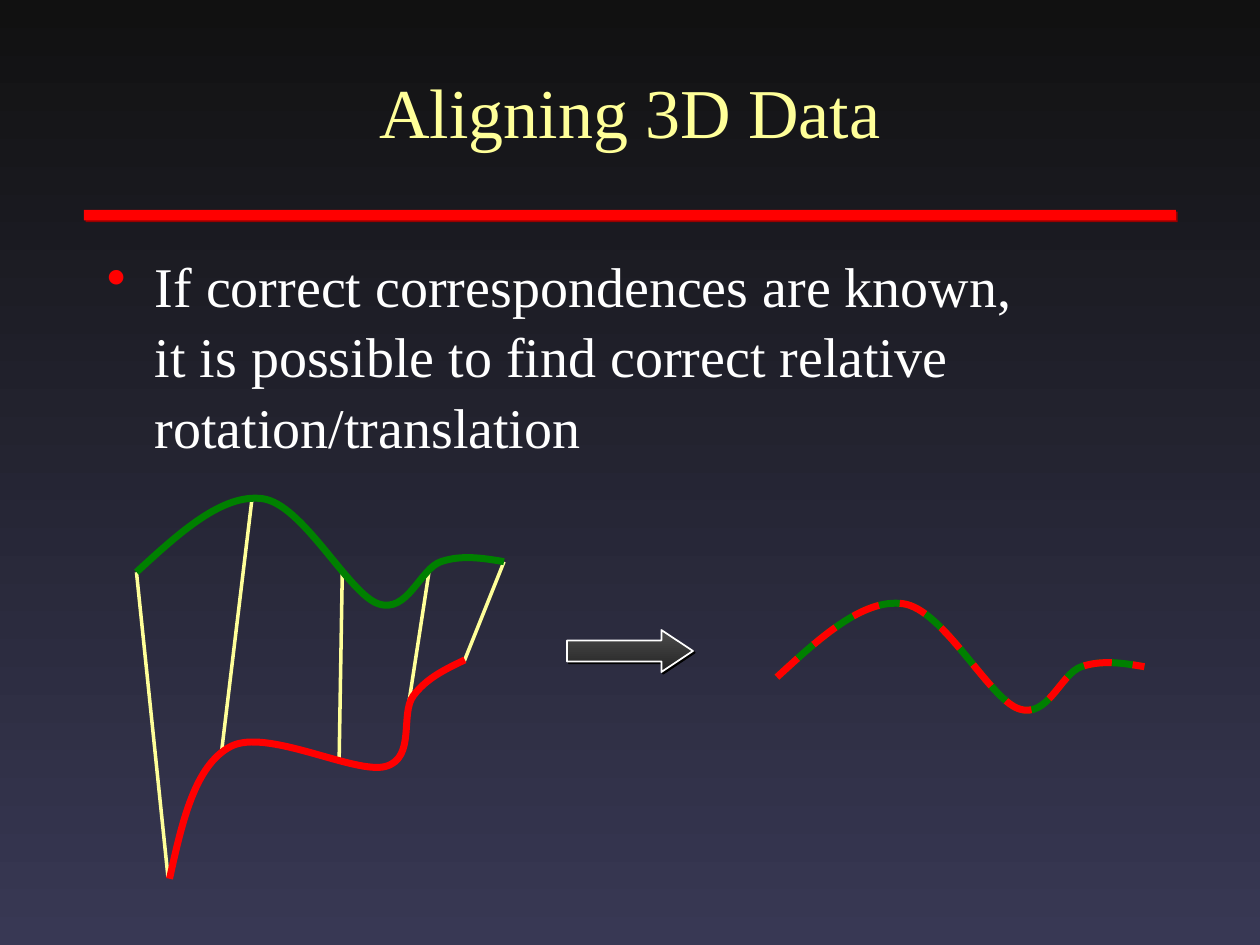
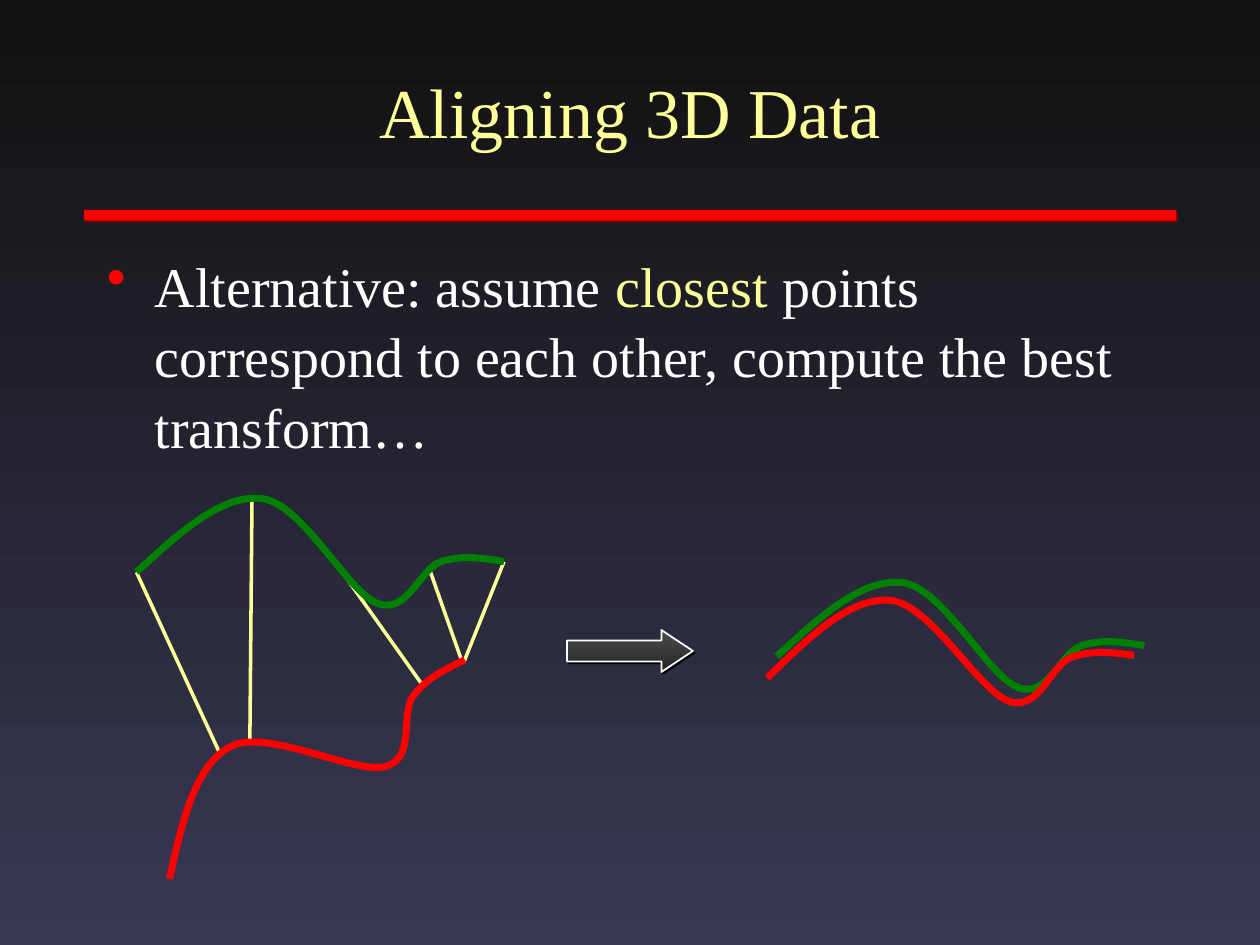
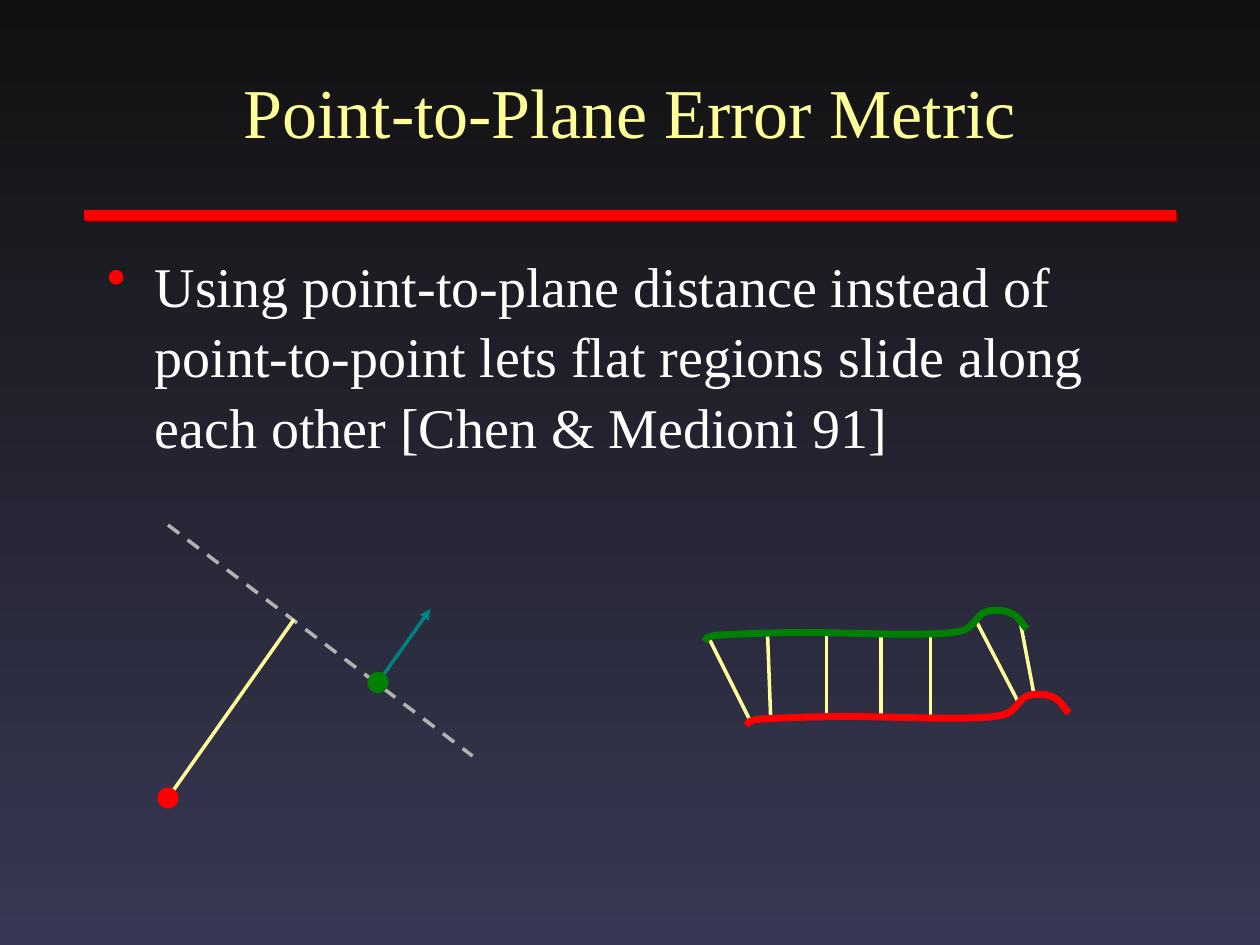
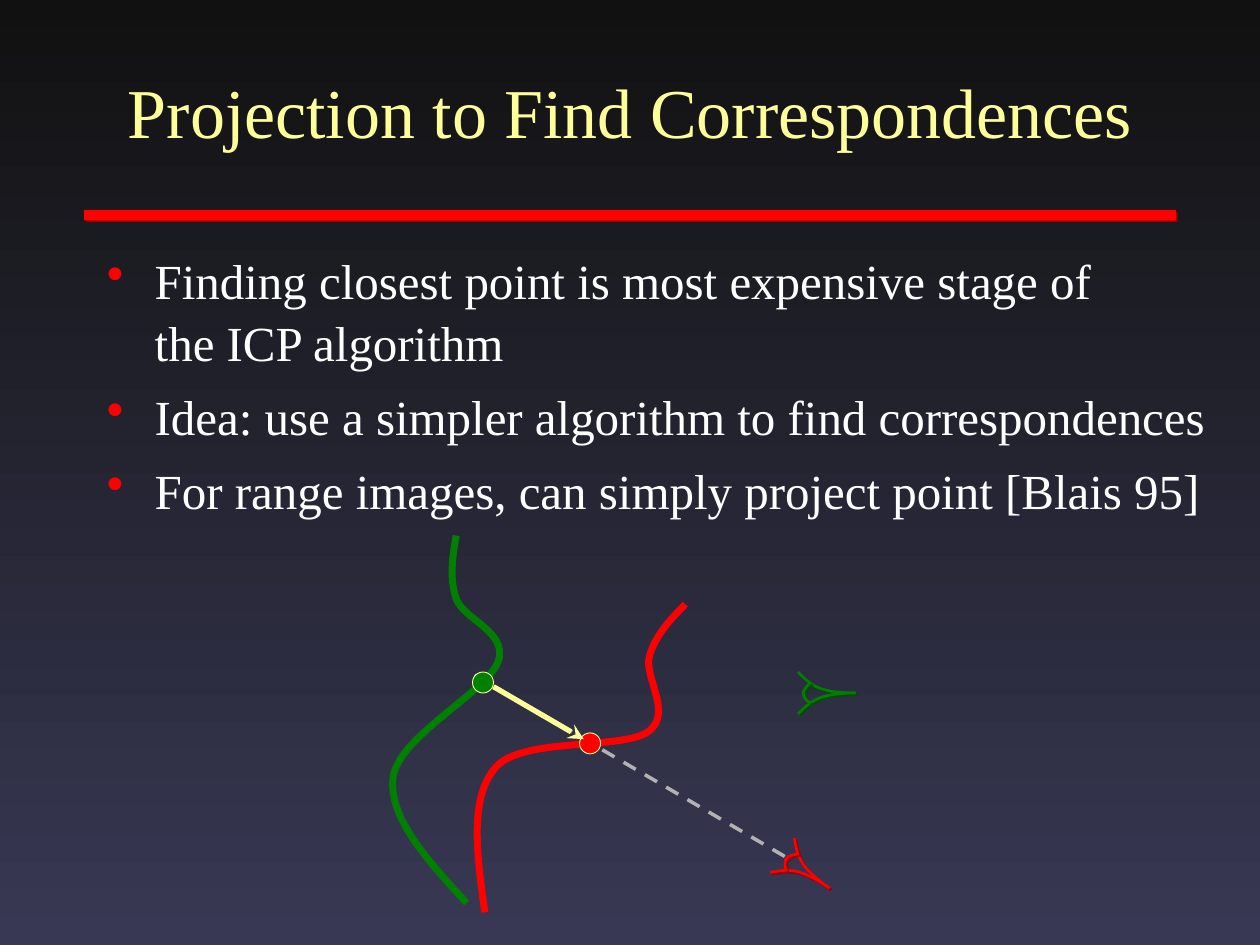
from math import cos, radians, sin

from lxml.etree import SubElement
from pptx import Presentation
from pptx.dml.color import RGBColor
from pptx.enum.dml import MSO_LINE
from pptx.enum.shapes import MSO_CONNECTOR, MSO_SHAPE
from pptx.enum.text import MSO_ANCHOR, MSO_AUTO_SIZE, PP_ALIGN
from pptx.oxml.ns import qn
from pptx.util import Inches, Pt

HUES = {
    "top": "111111", "base": "383854", "text": "FFFFFF", "accent": "FFFF99",
    "red": "FF0000", "green": "008000", "teal": "008080", "gray": "B2B2B2",
    "steel": "4D4D4D", "coal": "232323", "black": "000000",
    "dark red": "980000", "dark green": "004C00",
}
FONT = "Times New Roman"
CELL = Inches(10) / 120
WAVE = [(0, 7.5), (4.08, 3.75), (8.17, 0), (12, 0.5),
        (15.83, 1), (20.17, 9.5), (23, 10.5),
        (25.83, 11.5), (27, 7.17), (29, 6.5),
        (31, 5.83), (33, 6.17), (35, 6.5)]
STRIP = [(0.1, 3.1), (0.3, 3), (0, 2.6), (1.4, 2.5),
         (2.75, 2.4), (5.5, 2.3), (8.4, 2.25),
         (11.3, 2.2), (16.1, 2.4), (18.7, 2.4),
         (21.4, 2.4), (23.2, 2.4), (24.5, 2.1),
         (25.8, 1.8), (26, 0.6), (26.8, 0.3),
         (27.6, 0), (28.8, 0.1), (29.4, 0.45),
         (30, 0.7), (30.5, 1.65), (30.8, 1.9)]
LID = [(0, 0), (0.6, 0.6), (1.2, 1.2), (2.1, 1.55), (3, 1.9), (4.3, 2), (5.5, 2)]
IRIS = [(0.7, 0), (0.35, 0.35), (0, 0.7), (0, 1.05), (0, 1.4), (0.35, 1.75), (0.7, 2)]


def hue(name):
    """Return the named colour."""
    return RGBColor.from_string(HUES[name])


def grid(*cells):
    """Turn grid cells into slide lengths."""
    return [round(cell * CELL) for cell in cells]


def blend(fill, first, last):
    """Fill from top to bottom with two colours."""
    fill.gradient()
    fill.gradient_angle = 270
    for stop, name in zip(fill.gradient_stops, (first, last)):
        stop.color.rgb = hue(name)


def stroke(line, name, width, dash=False):
    """Set the colour, width and dash of a line."""
    line.color.rgb = hue(name)
    line.width = Pt(width)
    if dash:
        line.dash_style = MSO_LINE.DASH


def shade(shape, name=None):
    """Clear the shadow, or cast a hard one in the named colour."""
    shape.shadow.inherit = False
    if name:
        effects = shape.element.spPr.find(qn("a:effectLst"))
        cast = SubElement(effects, qn("a:outerShdw"), blurRad="0",
                          dist=str(Pt(1.4)), dir="2700000", algn="ctr")
        SubElement(cast, qn("a:srgbClr"), val=HUES[name])


def write(frame, lines, size=32, color="text", align=PP_ALIGN.LEFT,
          anchor=MSO_ANCHOR.TOP, bullet=False):
    """Write paragraphs, with *starred* words in the accent colour."""
    frame.word_wrap = True
    frame.auto_size = MSO_AUTO_SIZE.NONE
    frame.vertical_anchor = anchor
    for rank, line in enumerate(lines):
        para = frame.add_paragraph() if rank else frame.paragraphs[0]
        para.alignment = align
        if bullet:
            mark(para)
            para.line_spacing = 1.05
            para.space_before = Pt(size / 4 if rank else 0)
        for turn, part in enumerate(line.split("*")):
            for row, words in enumerate(part.split("\n")):
                if row:
                    para.add_line_break()
                run = para.add_run()
                run.text = words
                run.font.name, run.font.size = FONT, Pt(size)
                run.font.color.rgb = hue("accent" if turn % 2 else color)


def mark(para):
    """Give a paragraph a hanging red bullet."""
    props = para._p.get_or_add_pPr()
    props.set("marL", str(Inches(0.38)))
    props.set("indent", str(-Inches(0.38)))
    tint = SubElement(props, qn("a:buClr"))
    SubElement(tint, qn("a:srgbClr"), val=HUES["red"])
    SubElement(props, qn("a:buChar"), char="•")


def page(deck, title, lines, size=32, width=102):
    """Add a slide with its title and bullets."""
    slide = deck.slides.add_slide(deck.slide_layouts[5])
    head = slide.shapes.title
    head.left, head.top, head.width, head.height = grid(9, 3, 102, 15)
    write(head.text_frame, [title], size=40, color="accent",
          align=PP_ALIGN.CENTER, anchor=MSO_ANCHOR.MIDDLE)
    box = slide.shapes.add_textbox(*grid(9, 23, width, 57))
    write(box.text_frame, lines, size=size, bullet=True)
    return slide.shapes


def theme(deck):
    """Put the backdrop and the red band on the master."""
    master = deck.slide_master
    blend(master.background.fill, "top", "base")
    band = deck.slides[0].shapes.add_shape(MSO_SHAPE.RECTANGLE, *grid(8, 20, 104, 1))
    band.fill.solid()
    band.fill.fore_color.rgb = hue("red")
    band.line.fill.background()
    shade(band, "dark red")
    band.element.nvSpPr.cNvPr.set("id", "99")
    master.element.cSld.spTree.insert(2, band.element)


def link(shapes, ends, color="accent", width=2, dash=False, tip=None):
    """Draw a straight line; tip names the arrow's end and head."""
    line = shapes.add_connector(MSO_CONNECTOR.STRAIGHT, *grid(*ends))
    stroke(line.line, color, width, dash)
    if tip:
        SubElement(line.line._get_or_add_ln(), qn("a:" + tip[0]), type=tip[1])
    SubElement(line.element.spPr, qn("a:effectLst"))


def curve(shapes, points, spot, color, turn=0, width=4, dash=False, cast=None):
    """Draw a chain of cubic curves in a box at spot, turned about its centre."""
    dots = [grid(*point) for point in points]
    maker = shapes.build_freeform(*dots[0], scale=1.0)
    maker.add_line_segments(dots[1:], close=False)
    shape = maker.convert_to_shape(*grid(*spot))
    steps = list(shape.element.iter(qn("a:lnTo")))
    for first, *rest in zip(steps[::3], steps[1::3], steps[2::3]):
        first.tag = qn("a:cubicBezTo")
        for step in rest:
            first.append(step[0])
            step.getparent().remove(step)
    shape.fill.background()
    stroke(shape.line, color, width, dash)
    shape.rotation = turn
    shade(shape, cast)


def eye(shapes, tip, color, turn=0):
    """Draw an eye, turned about the tip where its lids meet."""
    lower = [(x, 2 - y) for x, y in LID]
    c, s = cos(radians(turn)), sin(radians(turn))
    for points, x, y in ((LID, -5.5, -2), (lower, -5.5, 0), (IRIS, -5, -1)):
        half = max(point[0] for point in points) / 2
        x, y = x + half, y + 1
        spot = (tip[0] + x * c - y * s - half, tip[1] + x * s + y * c - 1)
        curve(shapes, points, spot, color, turn, 1.5, cast="dark " + color)


def dot(shapes, spot, color, edge=False):
    """Draw a point two cells wide."""
    shape = shapes.add_shape(MSO_SHAPE.OVAL, *grid(*spot, 2, 2))
    shape.fill.solid()
    shape.fill.fore_color.rgb = hue(color)
    if edge:
        stroke(shape.line, "accent", 0.5)
    else:
        shape.line.fill.background()
    shade(shape)


def arrow(shapes):
    """Draw the block arrow between two stages."""
    shape = shapes.add_shape(MSO_SHAPE.RIGHT_ARROW, *grid(54, 60, 12, 4))
    shape.adjustments[0], shape.adjustments[1] = 0.5, 0.75
    blend(shape.fill, "steel", "coal")
    stroke(shape.line, "text", 1)
    shade(shape, "black")


def align(deck, line, pairs, after):
    """Build a slide that matches two waves and shows them after the move."""
    shapes = page(deck, "Aligning 3D Data", [line])
    for ends in pairs:
        link(shapes, ends)
    curve(shapes, WAVE, (12, 66.5), "red", 325.1)
    curve(shapes, WAVE, (13, 47), "green")
    for look in after:
        curve(shapes, WAVE, **look)
    arrow(shapes)


def metric(deck):
    """Build the slide on the error metric."""
    shapes = page(deck, "Point-to-Plane Error Metric", [
        "Using point-to-plane distance instead of point-to-point lets flat "
        "regions slide along each other [Chen & Medioni 91]"])
    link(shapes, (16, 50, 45, 72), "gray", dash=True)
    link(shapes, (36, 65, 41, 58), "teal", tip=("tailEnd", "triangle"))
    dot(shapes, (35, 64), "green")
    link(shapes, (16, 76, 28, 59))
    dot(shapes, (15, 75), "red")
    group = shapes.add_group_shape().shapes
    for ends in ((67.5, 60.75, 71.5, 68.75), (73.1, 60.25, 73.4, 68.4),
                 (78.7, 60.25, 78.7, 68.2), (83.9, 60.4, 83.9, 68.4),
                 (92.9, 59, 97, 66.9), (88.6, 60.5, 88.6, 68.3),
                 (97.2, 59.4, 98.5, 66.25)):
        link(group, ends)
    curve(group, STRIP, (67, 58), "green")
    curve(group, STRIP, (71, 66), "red")


def project(deck):
    """Build the slide on projection."""
    shapes = page(deck, "Projection to Find Correspondences", [
        "Finding closest point is most expensive stage of\nthe ICP algorithm",
        "Idea: use a simpler algorithm to find correspondences",
        "For range images, can simply project point [Blais 95]"], size=28, width=109)
    for color, tip, turn, spot, tilt in (
            ("green", (81.5, 66), 0, (25.2, 62.75), 270),
            ("red", (79, 84.6), 35, (37.2, 65.75), 304.7)):
        group = shapes.add_group_shape().shapes
        eye(group, tip, color, turn)
        curve(group, WAVE, spot, color, tilt)
    link(shapes, (45.2, 64.3, 74.8, 81.6), "gray", dash=True)
    dot(shapes, (45, 64), "green", edge=True)
    dot(shapes, (55.2, 69.8), "red", edge=True)
    link(shapes, (55.6, 70.4, 47, 65.4), width=3, tip=("headEnd", "stealth"))


def main():
    """Build the deck and save it."""
    deck = Presentation()
    deck.slide_width, deck.slide_height = grid(120, 90)
    align(deck, "If correct correspondences are known,\nit is possible to find "
          "correct relative rotation/translation",
          [(13, 54.5, 16, 83.5), (24, 47.5, 21.1, 71.6), (32.6, 54.5, 32.3, 72.5),
           (48, 53.5, 44.2, 63), (40.9, 54.2, 38.9, 67.2)],
          [dict(spot=(74, 57), color="green"),
           dict(spot=(74, 57), color="red", dash=True)])
    align(deck, "Alternative: assume *closest* points correspond to each other, "
          "compute the best transform…",
          [(13, 54.5, 21, 71.9), (24, 47.5, 23.8, 70.5), (32.6, 54.5, 40.2, 65.2),
           (48, 53.5, 44.2, 63), (40.9, 54.2, 44, 63)],
          [dict(spot=(74, 55), color="green"),
           dict(spot=(73, 56.5), color="red", turn=358.1)])
    metric(deck)
    project(deck)
    theme(deck)
    deck.save("out.pptx")


if __name__ == "__main__":
    main()
